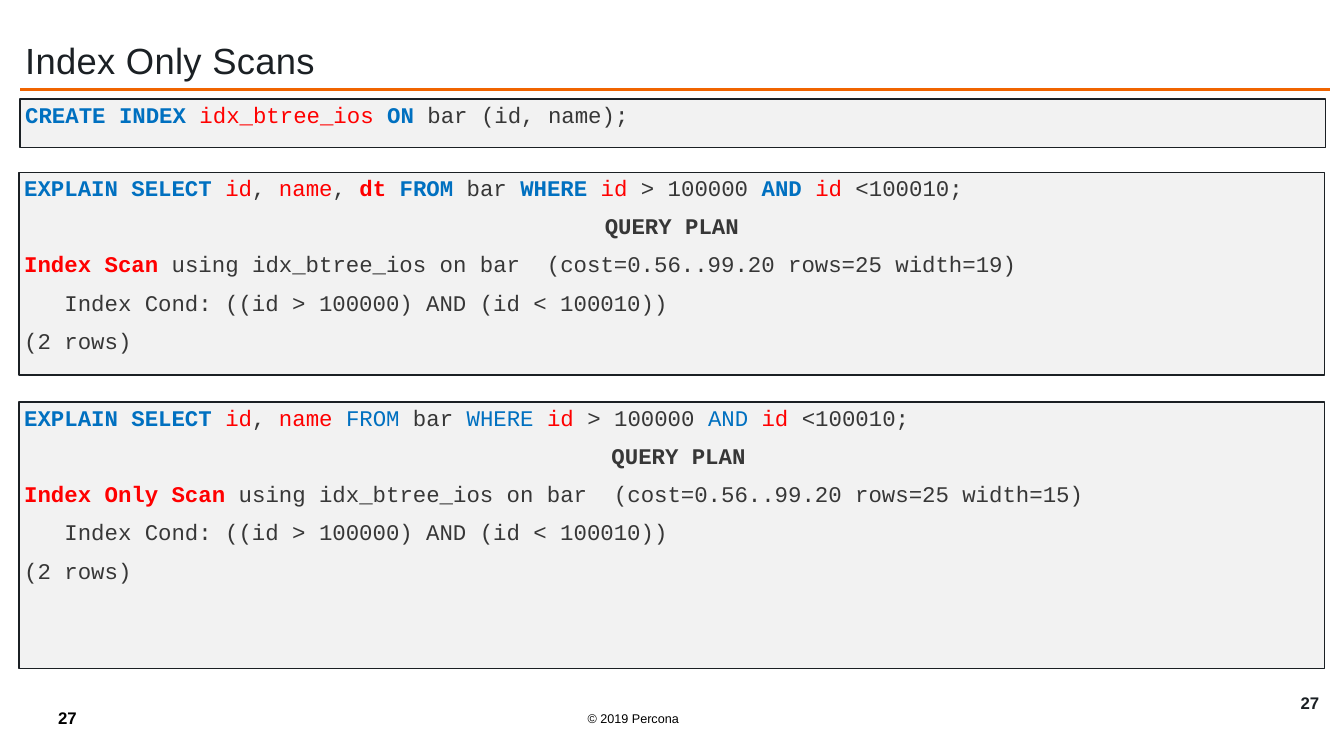
from lxml.etree import SubElement
from pptx import Presentation
from pptx.dml.color import RGBColor
from pptx.enum.shapes import MSO_CONNECTOR, MSO_SHAPE
from pptx.enum.text import MSO_ANCHOR, PP_ALIGN
from pptx.oxml.ns import qn
from pptx.util import Pt

INK, TEXT, BLUE, RED = "1B2024", "373737", "0070C0", "FF0000"
STYLES = {
    "text": (TEXT, False), "head": (TEXT, True),
    "key": (BLUE, True), "word": (BLUE, False),
    "name": (RED, False), "hot": (RED, True),
}
COND = [("   Index Cond: ((id > 100000) AND (id < 100010))", "text")]
ROWS = [("(2 rows)", "text")]

CREATE = [[("CREATE INDEX ", "key"), ("idx_btree_ios ", "name"),
           ("ON", "key"), (" bar (id, name);", "text")]]


def where_clause(style):
    """Return the shared end of both queries, with keywords in one style."""
    return [("FROM", style), (" bar ", "text"), ("WHERE ", style), ("id", "name"),
            (" > 100000 ", "text"), ("AND ", style), ("id", "name"),
            (" <100010;", "text")]


INDEX_SCAN = [
    [("EXPLAIN SELECT ", "key"), ("id", "name"), (", ", "text"), ("name", "name"),
     (", ", "text"), ("dt ", "hot")] + where_clause("key"),
    [("QUERY PLAN", "head")],
    [("Index Scan ", "hot"),
     ("using idx_btree_ios on bar  (cost=0.56..99.20 rows=25 width=19)", "text")],
    COND, ROWS,
]
INDEX_ONLY_SCAN = [
    [("EXPLAIN SELECT ", "key"), ("id", "name"), (", ", "text"),
     ("name ", "name")] + where_clause("word"),
    [(" QUERY PLAN", "head")],
    [("Index Only Scan", "hot"),
     (" using idx_btree_ios on bar  (cost=0.56..99.20 rows=25 width=15)", "text")],
    COND, ROWS,
]


def rgb(value):
    """Turn a hex string into a colour."""
    return RGBColor.from_string(value)


def set_attrs(obj, values):
    """Set every attribute in a dict of format values."""
    for name, value in values.items():
        setattr(obj, name, value)


def set_frame(tf, anchor, x_inset=3.6):
    """Set wrapping, anchor and insets of a text frame."""
    set_attrs(tf, {"word_wrap": True, "vertical_anchor": anchor,
                   "margin_left": Pt(x_inset), "margin_right": Pt(x_inset),
                   "margin_top": Pt(3.6), "margin_bottom": Pt(3.6)})


def add_run(p, text, font, size, color, bold=False):
    """Add one formatted run to a paragraph."""
    r = p.add_run()
    r.text = text
    set_attrs(r.font, {"name": font, "size": Pt(size), "bold": bold})
    r.font.color.rgb = rgb(color)
    return r


def add_label(s, box, text, size, color, bold=False, align=PP_ALIGN.LEFT, x_inset=3.6):
    """Add a one-line text box, centred vertically in its box."""
    tf = s.shapes.add_textbox(*map(Pt, box)).text_frame
    set_frame(tf, MSO_ANCHOR.MIDDLE, x_inset)
    p = tf.paragraphs[0]
    p.alignment = align
    return add_run(p, text, "Arial", size, color, bold)


def add_header(s, box, title):
    """Add the slide title and the orange rule below it."""
    left, top, width, height = box
    r = add_label(s, box, title, 26, INK)
    r.font._element.set("spc", "20")
    y = top + height - 7.2
    rule = s.shapes.add_connector(MSO_CONNECTOR.STRAIGHT,
                                  Pt(left), Pt(y), Pt(left + width), Pt(y))
    rule.line.color.rgb = rgb("F06400")
    rule.line.width = Pt(2)
    SubElement(rule._element.spPr, qn("a:effectLst"))


def add_code(s, box, lines):
    """Add a grey code panel holding lines of styled runs."""
    sp = s.shapes.add_shape(MSO_SHAPE.RECTANGLE, *map(Pt, box))
    sp.shadow.inherit = False
    sp.fill.solid()
    sp.fill.fore_color.rgb = rgb("F2F2F2")
    sp.line.color.rgb = rgb(INK)
    sp.line.width = Pt(1)
    tf = sp.text_frame
    set_frame(tf, MSO_ANCHOR.TOP)
    for i, line in enumerate(lines):
        p = tf.add_paragraph() if i else tf.paragraphs[0]
        centred = line[0][1] == "head"
        set_attrs(p, {"alignment": PP_ALIGN.CENTER if centred else PP_ALIGN.LEFT,
                      "line_spacing": 0.9, "space_before": Pt(10 if i else 0)})
        for text, style in line:
            add_run(p, text, "Courier New", 16, *STYLES[style])


def add_footer(s, box, number):
    """Add the copyright line and both page numbers."""
    left, top, width, height = box
    add_label(s, (left + 365.9, top + 10.8, 144, 18), "© 2019 Percona", 9, "000000",
              align=PP_ALIGN.CENTER, x_inset=7.2)
    add_label(s, (left + 20.1, top + 8.6, 144, 21.6), number, 12, "000000", True,
              x_inset=7.2)
    add_label(s, (left + width - 22.3, top, 22.3, 18), number, 12, INK, True,
              align=PP_ALIGN.CENTER)


def main():
    """Build the slide and save it."""
    prs = Presentation()
    set_attrs(prs, {"slide_width": Pt(960), "slide_height": Pt(540)})
    s = prs.slides.add_slide(prs.slide_layouts[6])
    add_header(s, (14.4, 14.4, 935.3, 56.9), "Index Only Scans")
    add_code(s, (14.4, 70.6, 932.4, 34.6), CREATE)
    add_code(s, (13.7, 123.1, 932.4, 144.7), INDEX_SCAN)
    add_code(s, (13.7, 287.3, 932.4, 190.1), INDEX_ONLY_SCAN)
    add_footer(s, (14.4, 493.2, 932.4, 32.4), "27")
    prs.save("out.pptx")


if __name__ == "__main__":
    main()
